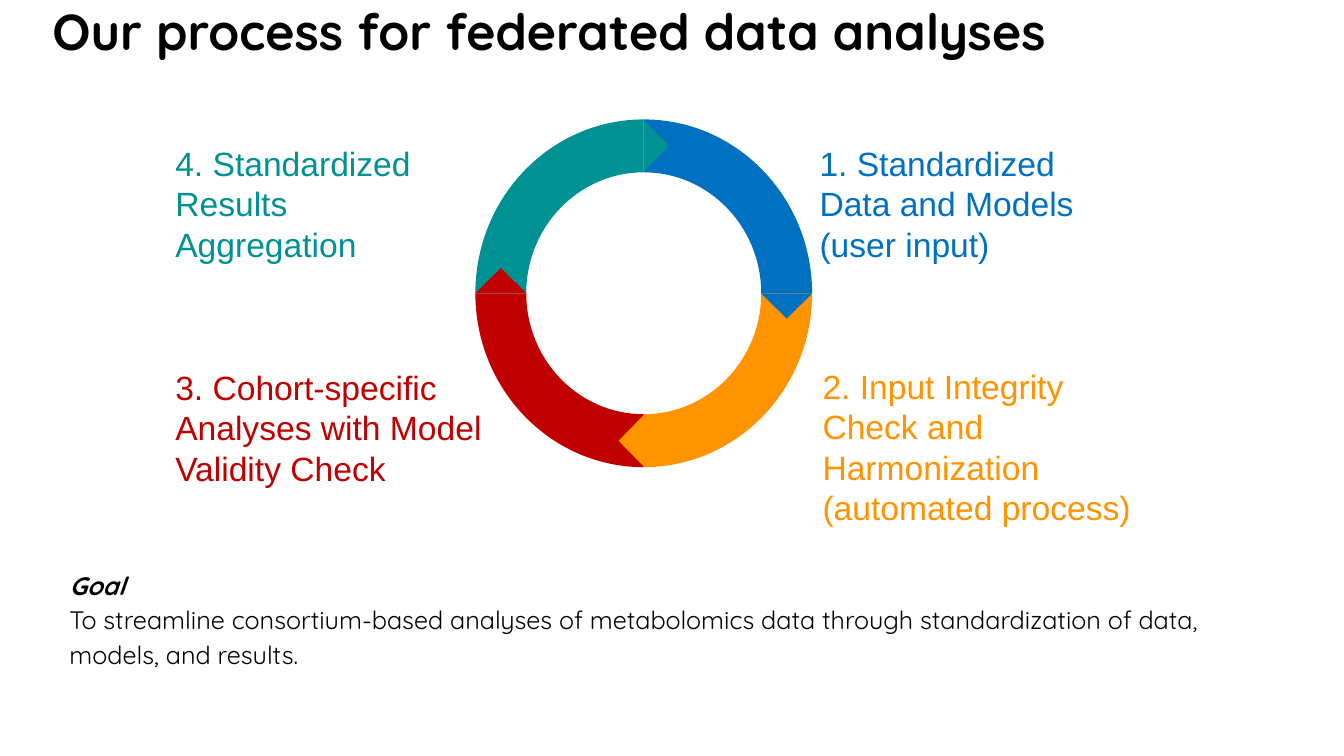
from dataclasses import dataclass
from math import cos, radians, sin

from pptx import Presentation
from pptx.dml.color import RGBColor
from pptx.enum.shapes import MSO_SHAPE
from pptx.enum.text import MSO_ANCHOR, MSO_AUTO_SIZE, PP_ALIGN
from pptx.oxml.xmlchemy import OxmlElement
from pptx.shapes.autoshape import Shape
from pptx.shapes.shapetree import GroupShapes, SlideShapes
from pptx.slide import Slide
from pptx.text.text import Font
from pptx.util import Inches, Pt

CENTER_X, CENTER_Y = 6.385, 2.91
OUTER_X, OUTER_Y = 1.67, 1.725
INNER_X, INNER_Y = 1.165, 1.2
ARROW_WIDTH, ARROW_HEIGHT = 0.51, 0.25
QUARTER_CURVE = 0.5523  # Bezier handle length for a quarter of a unit circle


@dataclass
class Step:
    lines: list[str]
    color: str
    end_angle: int  # degrees clockwise from three o'clock
    left: float
    top: float
    width: float
    height: float


STEPS = [
    Step(["1. Standardized Data and Models", "(user input)"],
         "0070C0", 0, 8.03, 1.37, 3.27, 1.24),
    Step(["2. Input Integrity Check and Harmonization", "(automated process)"],
         "FF9300", 90, 8.06, 3.58, 3.27, 1.63),
    Step(["3. Cohort-specific Analyses with Model Validity Check"],
         "C00000", 180, 1.64, 3.59, 3.44, 1.63),
    Step(["4. Standardized Results Aggregation"],
         "009193", 270, 1.64, 1.37, 3.15, 1.24),
]


def rgb(color: str) -> RGBColor:
    return RGBColor.from_string(color)


def set_font(font: Font, name: str, size: float, color: str,
             bold: bool = False, italic: bool = False) -> None:
    font.name, font.size = name, Pt(size)
    font.bold, font.italic = bold, italic
    font.color.rgb = rgb(color)


def paint(shape: Shape, color: str) -> None:
    shape.shadow.inherit = False
    shape.fill.solid()
    shape.fill.fore_color.rgb = rgb(color)
    shape.line.fill.background()


def quarter_curve(end_angle: int, radius_x: float,
                  radius_y: float) -> list[tuple[int, int]]:
    """Return start, two handles and end of a clockwise quarter ellipse."""
    turn = radians(end_angle)
    end_x, end_y = cos(turn), sin(turn)
    start_x, start_y = end_y, -end_x
    k = QUARTER_CURVE
    units = [(start_x, start_y),
             (start_x + k * end_x, start_y + k * end_y),
             (end_x + k * start_x, end_y + k * start_y),
             (end_x, end_y)]
    return [(Inches(CENTER_X + radius_x * x), Inches(CENTER_Y + radius_y * y))
            for x, y in units]


def bend(lines: list) -> None:
    """Replace three straight segments with one curve through their points."""
    curve = OxmlElement("a:cubicBezTo")
    lines[0].addprevious(curve)
    for line in lines:
        curve.append(line[0])
        line.getparent().remove(line)


def add_arc(shapes: GroupShapes, step: Step) -> None:
    outer = quarter_curve(step.end_angle, OUTER_X, OUTER_Y)
    inner = quarter_curve(step.end_angle, INNER_X, INNER_Y)[::-1]
    builder = shapes.build_freeform(*outer[0])
    builder.add_line_segments(outer[1:] + inner, close=True)
    arc = builder.convert_to_shape()
    lines = arc._element.xpath(".//a:lnTo")
    bend(lines[:3])
    bend(lines[4:7])
    paint(arc, step.color)


def add_arrow(shapes: GroupShapes, step: Step) -> None:
    """Put a clockwise-pointing tip on the end of the step's arc."""
    turn = radians(step.end_angle)
    x = CENTER_X + (OUTER_X + INNER_X) / 2 * cos(turn) - ARROW_HEIGHT / 2 * sin(turn)
    y = CENTER_Y + (OUTER_Y + INNER_Y) / 2 * sin(turn) + ARROW_HEIGHT / 2 * cos(turn)
    arrow = shapes.add_shape(
        MSO_SHAPE.ISOSCELES_TRIANGLE,
        Inches(x - ARROW_WIDTH / 2), Inches(y - ARROW_HEIGHT / 2),
        Inches(ARROW_WIDTH), Inches(ARROW_HEIGHT))
    arrow.rotation = (step.end_angle + 180) % 360
    paint(arrow, step.color)


def add_text(shapes: GroupShapes | SlideShapes, lines: list[str], left: float,
             top: float, width: float, height: float) -> Shape:
    box = shapes.add_textbox(
        Inches(left), Inches(top), Inches(width), Inches(height))
    frame = box.text_frame
    frame.word_wrap = True
    frame.auto_size = MSO_AUTO_SIZE.SHAPE_TO_FIT_TEXT
    frame.text = "\n".join(lines)
    return box


def add_label(shapes: GroupShapes, step: Step) -> None:
    label = add_text(shapes, step.lines, step.left, step.top, step.width, step.height)
    for paragraph in label.text_frame.paragraphs:
        set_font(paragraph.font, "Arial", 24, step.color)


def add_title(slide: Slide) -> None:
    title = slide.shapes.title
    title.left, title.top = Inches(0.42), Inches(0)
    title.width, title.height = Inches(12.77), Inches(1.24)
    frame = title.text_frame
    frame.auto_size = MSO_AUTO_SIZE.NONE
    frame.vertical_anchor = MSO_ANCHOR.TOP
    frame.margin_top = Inches(0.07)
    frame.text = "Our process for federated data analyses"
    heading = frame.paragraphs[0]
    heading.alignment = PP_ALIGN.LEFT
    heading.line_spacing = 0.9
    set_font(heading.font, "Quicksand", 36, "000000", bold=True)


def add_goal(slide: Slide) -> None:
    goal = add_text(slide.shapes, [
        "Goal",
        "To streamline consortium-based analyses of metabolomics data through "
        "standardization of data, models, and results.",
    ], 0.59, 5.56, 12.07, 1.45)
    for index, paragraph in enumerate(goal.text_frame.paragraphs):
        paragraph.line_spacing = 1.15
        is_heading = index == 0
        set_font(paragraph.font, "Quicksand", 18, "000000", is_heading, is_heading)


def main() -> None:
    deck = Presentation()
    deck.slide_width, deck.slide_height = Inches(13.33), Inches(7.5)
    slide = deck.slides.add_slide(deck.slide_layouts[5])
    add_title(slide)
    cycle = slide.shapes.add_group_shape()
    for draw in (add_arc, add_arrow, add_label):
        for step in STEPS:
            draw(cycle.shapes, step)
    add_goal(slide)
    deck.save("out.pptx")


if __name__ == "__main__":
    main()
